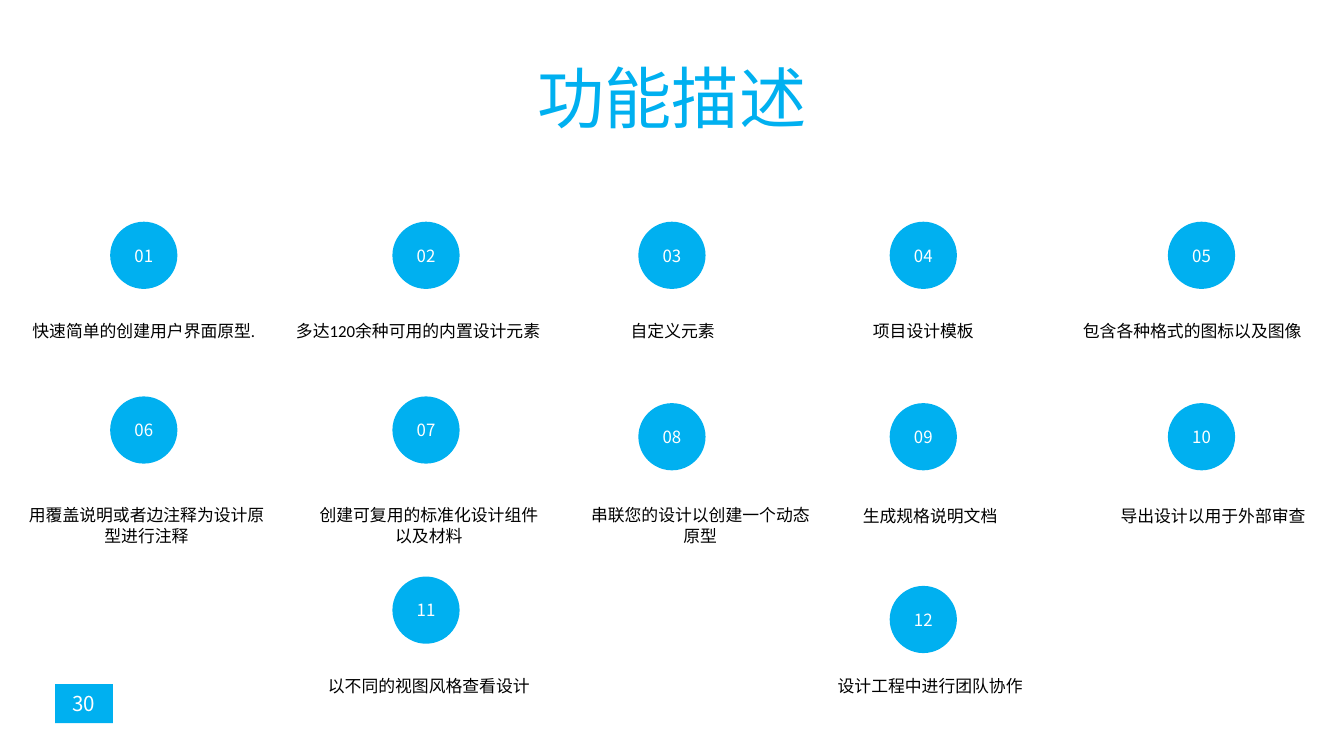
"""Build the feature description slide: twelve numbered features on a five-column grid."""
from lxml.etree import SubElement
from pptx import Presentation
from pptx.dml.color import RGBColor
from pptx.enum.shapes import MSO_SHAPE
from pptx.enum.text import MSO_ANCHOR, MSO_AUTO_SIZE, PP_ALIGN
from pptx.oxml.ns import qn
from pptx.util import Inches, Pt

COLORS = {"accent": "00B0F0", "text": "000000", "light": "FFFFFF"}
HEADING_FONT, BODY_FONT = "Noto Sans CJK KR", "Calibri"
SLIDE_WIDTH = 10
SLIDE_HEIGHT = SLIDE_WIDTH * 9 / 16
COLUMNS = [0.82, 2.92, 4.75, 6.62, 8.69]
CAPTION_ROWS = [2.34, 3.71, 4.98]
DIAMETER = 0.5

FEATURES = [
    (0, 0, 1.65, 0.07, 2, 0.25, "快速简单的创建用户界面原型."),
    (1, 0, 1.65, 2.09, 2.04, 0.25, "多达120余种可用的内置设计元素"),
    (2, 0, 1.65, 4.4, 1.21, 0.25, "自定义元素"),
    (3, 0, 1.65, 5.87, 2, 0.25, "项目设计模板"),
    (4, 0, 1.65, 7.87, 2, 0.25, "包含各种格式的图标以及图像"),
    (0, 1, 2.95, 0.09, 2, 0.4, "用覆盖说明或者边注释为设计原型进行注释"),
    (1, 1, 2.95, 2.25, 1.88, 0.4, "创建可复用的标准化设计组件以及材料"),
    (2, 1, 3, 4.27, 1.88, 0.4, "串联您的设计以创建一个动态原型"),
    (3, 1, 3, 6.29, 1.26, 0.25, "生成规格说明文档"),
    (4, 1, 3, 8.13, 1.79, 0.25, "导出设计以用于外部审查"),
    (1, 2, 4.29, 2.19, 2, 0.25, "以不同的视图风格查看设计"),
    (3, 2, 4.36, 5.92, 2, 0.25, "设计工程中进行团队协作"),
]

deck = Presentation()
deck.slide_width, deck.slide_height = Inches(SLIDE_WIDTH), Inches(SLIDE_HEIGHT)
page = deck.slides.add_slide(deck.slide_layouts[6])


def write(box, text, size, font, color, anchor):
    frame = box.text_frame
    frame.word_wrap = True
    frame.vertical_anchor = anchor
    frame.text = text
    para = frame.paragraphs[0]
    para.alignment = PP_ALIGN.CENTER
    span = para.runs[0]
    span.font.size, span.font.name = Pt(size), font
    span.font.color.rgb = RGBColor.from_string(COLORS[color])
    if font == HEADING_FONT:
        SubElement(span.font._element, qn("a:ea"), typeface=font)


def add_badge(kind, area, text, size):
    badge = page.shapes.add_shape(kind, *map(Inches, area))
    badge.shadow.inherit = False
    badge.fill.solid()
    badge.fill.fore_color.rgb = RGBColor.from_string(COLORS["accent"])
    badge.line.fill.background()
    write(badge, text, size, HEADING_FONT, "light", MSO_ANCHOR.MIDDLE)


title = page.shapes.add_textbox(*map(Inches, (2, 0.65, 6, 0.42)))
write(title, "功能描述", 36, HEADING_FONT, "accent", MSO_ANCHOR.BOTTOM)

add_badge(MSO_SHAPE.RECTANGLE, (0.41, 5.09, 0.43, 0.29), "30", 11)

for number, (column, row, top, left, width, height, text) in enumerate(FEATURES, 1):
    add_badge(MSO_SHAPE.OVAL, (COLUMNS[column], top, DIAMETER, DIAMETER), f"{number:02d}", 9)
    caption = page.shapes.add_textbox(*map(Inches, (left, CAPTION_ROWS[row], width, height)))
    write(caption, text, 9, BODY_FONT, "text", MSO_ANCHOR.TOP)
    caption.text_frame.auto_size = MSO_AUTO_SIZE.SHAPE_TO_FIT_TEXT

deck.save("out.pptx")
